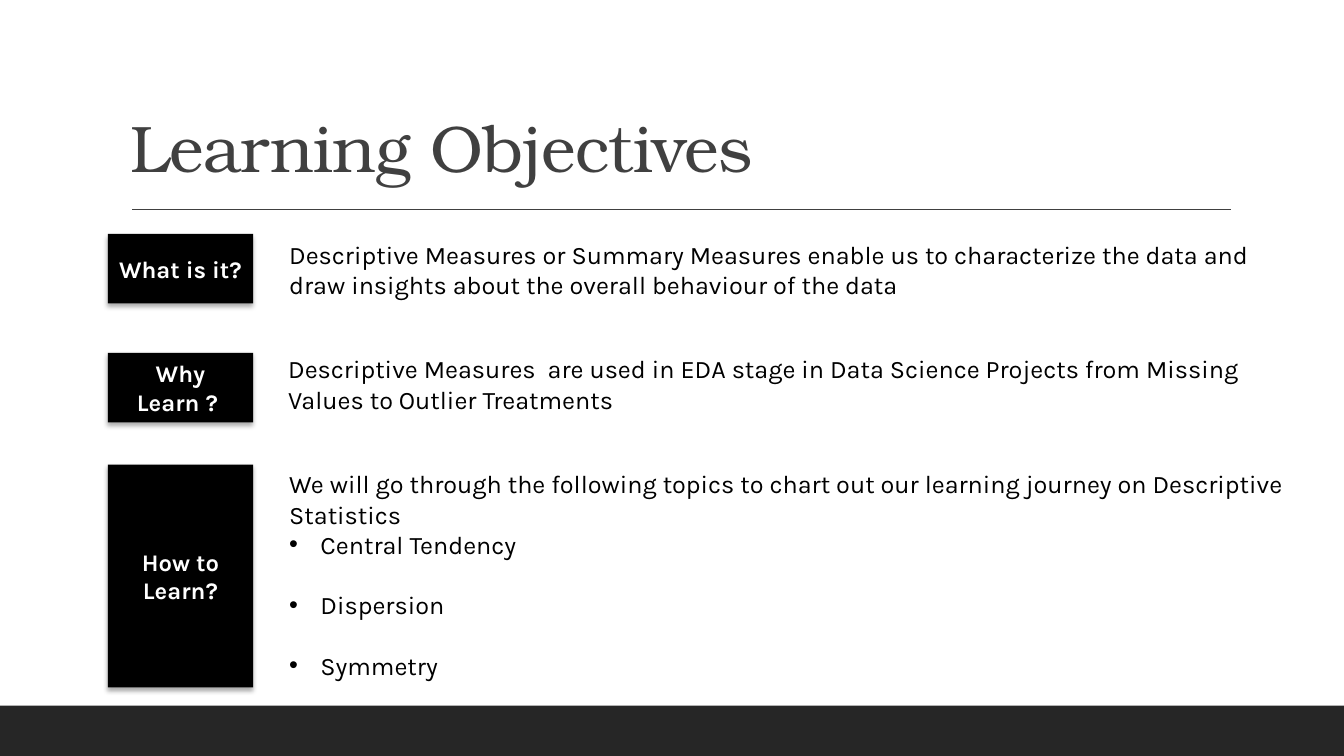
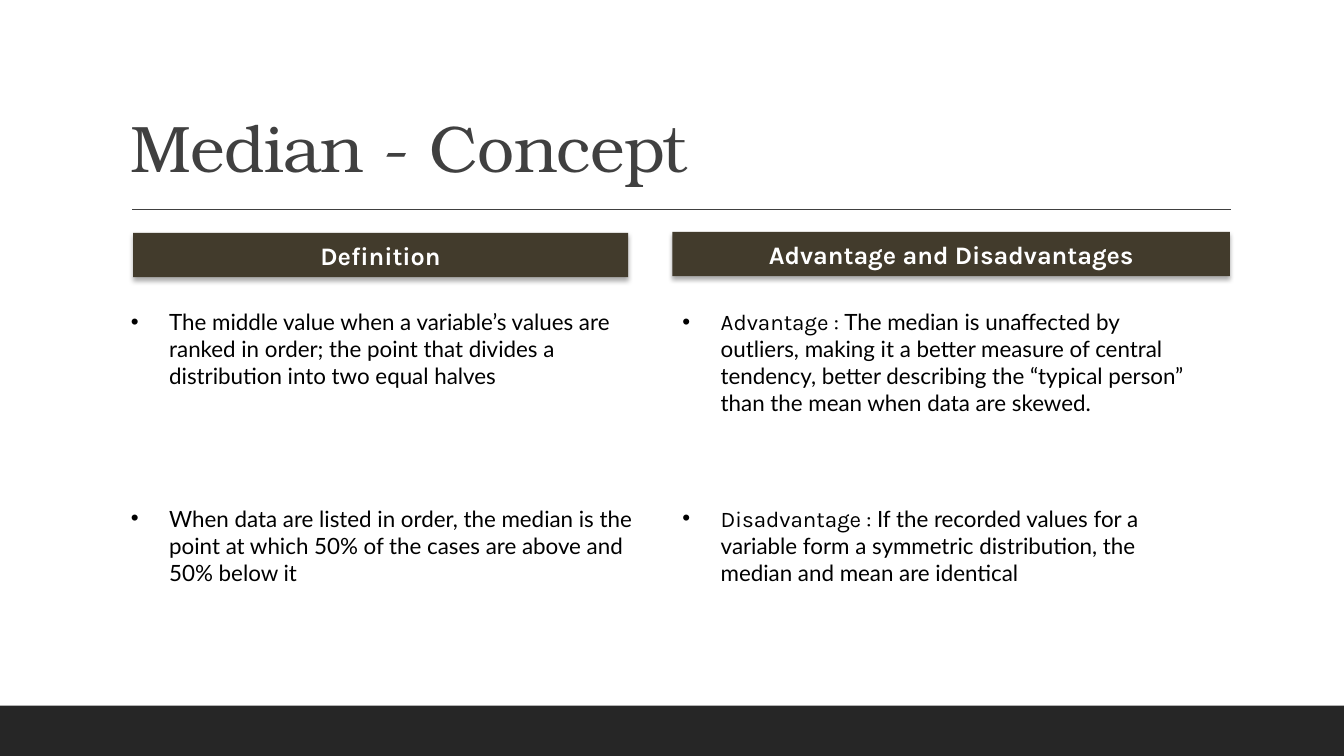
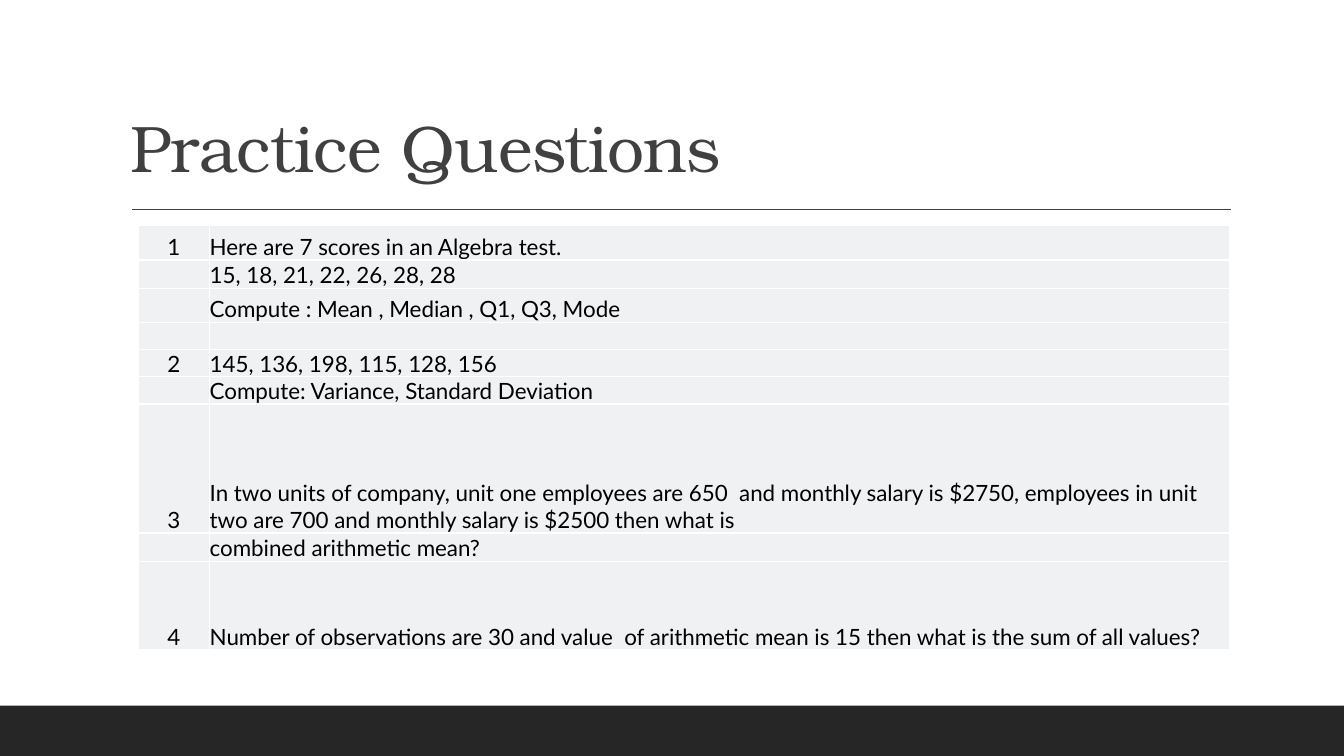
import pptx
import pptx.util
import pptx.dml.color
import pptx.enum.shapes
import pptx.enum.text
import pptx.oxml.ns
from lxml import etree

Inches = pptx.util.Inches
Pt = pptx.util.Pt
RGB = pptx.dml.color.RGBColor
ALIGN = pptx.enum.text.PP_ALIGN
ANCHOR = pptx.enum.text.MSO_ANCHOR
qn = pptx.oxml.ns.qn

# Shared style
BLACK = RGB(0x00, 0x00, 0x00)
WHITE = RGB(0xFF, 0xFF, 0xFF)
BAND = RGB(0x26, 0x26, 0x26)
GREY = RGB(0x40, 0x40, 0x40)
BROWN = RGB(0x42, 0x3B, 0x2C)
PALE = RGB(0xEF, 0xF1, 0xF3)
SERIF, SANS, BODY = "TeX Gyre Bonum", "Karla", "Lato"


def add(node, tag, **attrs):
    """Append an XML child with the given attributes."""
    return etree.SubElement(node, qn(tag), {k: str(v) for k, v in attrs.items()})


def write(frame, text, size=18, font=SANS, color=BLACK, bold=False,
          align=ALIGN.LEFT, indent=0, before=0, leading=None, track=None):
    """Add a paragraph; text is a string or a list of (text, font) runs."""
    para = frame.paragraphs[0]
    if para.runs:
        para = frame.add_paragraph()
    para.alignment = align
    if before:
        para.space_before = Pt(before)
    if leading:
        para.line_spacing = leading
    if indent:
        props = para._p.get_or_add_pPr()
        props.set("marL", str(Inches(indent)))
        props.set("indent", str(-Inches(indent)))
        add(props, "a:buFont", typeface="Arial")
        add(props, "a:buChar", char="•")
    for part, face in [(text, font)] if isinstance(text, str) else text:
        run = para.add_run()
        run.text = part
        run.font.name, run.font.size = face, Pt(size)
        run.font.bold = bold
        run.font.color.rgb = color
        if track:
            run._r.get_or_add_rPr().set("spc", str(track))


class Deck:
    def __init__(self):
        self.file = pptx.Presentation()
        self.file.slide_width = Inches(13.33)
        self.file.slide_height = Inches(7.5)

    def start(self, title):
        """New slide with bottom band, rule and title."""
        self.slide = self.file.slides.add_slide(self.file.slide_layouts[6])
        self.rect(0, 7, 13.33, 0.5, BAND)
        rule = self.slide.shapes.add_connector(
            pptx.enum.shapes.MSO_CONNECTOR.STRAIGHT,
            Inches(1.31), Inches(2.08), Inches(12.21), Inches(2.08))
        rule.line.color.rgb = GREY
        rule.line.width = Pt(1)
        add(rule._element.spPr, "a:effectLst")
        frame = self.text(1.2, 0.31, 11, 1.59)
        frame.vertical_anchor = ANCHOR.BOTTOM
        write(frame, title, size=47, font=SERIF, color=GREY,
              leading=0.9, track=-50)

    def rect(self, left, top, width, height, color):
        box = self.slide.shapes.add_shape(
            pptx.enum.shapes.MSO_SHAPE.RECTANGLE,
            Inches(left), Inches(top), Inches(width), Inches(height))
        box.shadow.inherit = False
        box.fill.solid()
        box.fill.fore_color.rgb = color
        box.line.fill.background()
        return box

    def label(self, left, top, width, height, text, color, size):
        """Filled heading box with a soft shadow below."""
        box = self.rect(left, top, width, height, color)
        effects = box._element.spPr.find(qn("a:effectLst"))
        shade = add(effects, "a:outerShdw", blurRad=Pt(3.5), dist=Pt(2.2),
                    dir=5400000, algn="ctr", rotWithShape=0)
        add(add(shade, "a:srgbClr", val=BLACK), "a:alpha", val=32000)
        frame = box.text_frame
        frame.word_wrap = True
        frame.vertical_anchor = ANCHOR.MIDDLE
        write(frame, text, size=size, color=WHITE, bold=True,
              align=ALIGN.CENTER)

    def text(self, left, top, width, height):
        box = self.slide.shapes.add_textbox(
            Inches(left), Inches(top), Inches(width), Inches(height))
        box.text_frame.word_wrap = True
        return box.text_frame

    def table(self, left, top, widths, rows):
        """Rows are (height, cell, cell...); the first column is centred."""
        grid = self.slide.shapes.add_table(
            len(rows), len(widths), Inches(left), Inches(top),
            Inches(sum(widths)), Inches(sum(r[0] for r in rows))).table
        grid.first_row = grid.horz_banding = False
        for col, width in zip(grid.columns, widths):
            col.width = Inches(width)
        for line, (height, *texts) in zip(grid.rows, rows):
            line.height = Inches(height)
            for i, (cell, text) in enumerate(zip(line.cells, texts)):
                self.fill(cell, text, ALIGN.LEFT if i else ALIGN.CENTER)

    def fill(self, cell, text, align):
        cell.margin_left = cell.margin_right = 0
        cell.margin_top = cell.margin_bottom = 0
        cell.vertical_anchor = ANCHOR.BOTTOM
        props = cell._tc.get_or_add_tcPr()
        for side in ("a:lnL", "a:lnR", "a:lnT", "a:lnB"):
            edge = add(props, side, w=Pt(1))
            add(add(edge, "a:solidFill"), "a:srgbClr", val=WHITE)
        cell.fill.solid()
        cell.fill.fore_color.rgb = PALE
        if text:
            write(cell.text_frame, text, size=16, font=BODY, align=align)
        else:
            # Keeps an empty row as low as a line of text
            end = add(cell.text_frame.paragraphs[0]._p, "a:endParaRPr", sz=1600)
            add(end, "a:latin", typeface=BODY)


def goals(deck):
    deck.start("Learning Objectives")
    for top, height, text in [(2.32, 0.69, "What is it?"),
                              (3.5, 0.69, "Why Learn ? "),
                              (4.61, 2.21, "How to Learn?")]:
        deck.label(1.07, top, 1.44, height, text, BLACK, 17)
    for left, top, width, height, text in [
            (2.77, 2.32, 10.17, 0.71,
             "Descriptive Measures or Summary Measures enable us to characterize "
             "the data and draw insights about the overall behaviour of the data"),
            (2.76, 3.46, 10.33, 0.71,
             "Descriptive Measures  are used in EDA stage in Data Science "
             "Projects from Missing Values to Outlier Treatments"),
            (2.77, 4.6, 10.25, 1.92,
             "We will go through the following topics to chart out our learning "
             "journey on Descriptive Statistics")]:
        frame = deck.text(left, top, width, height)
        write(frame, text)
    # Topics follow in the last box
    for i, topic in enumerate(["Central Tendency", "Dispersion", "Symmetry"]):
        write(frame, topic, indent=0.31, before=21.6 if i else 0)


def median(deck):
    deck.start("Median - Concept")
    deck.label(1.32, 2.31, 4.91, 0.44, "Definition", BROWN, 18)
    deck.label(6.67, 2.3, 5.53, 0.44, "Advantage and Disadvantages", BROWN, 18)
    columns = [
        (1.2, ["The middle value when a variable’s values are ranked in order; "
               "the point that divides a distribution into two equal halves",
               "When data are listed in order, the median is the point at which "
               "50% of the cases are above and 50% below it"]),
        (6.67, [[("Advantage : ", SANS),
                 ("The median is unaffected by outliers, making it a better "
                  "measure of central tendency, better describing the “typical "
                  "person” than the mean when data are skewed.", BODY)],
                [("Disadvantage : ", SANS),
                 ("If the recorded values for a variable form a symmetric "
                  "distribution, the median and mean are identical", BODY)]])]
    for left, points in columns:
        for top, point in zip((3.01, 4.96), points):
            write(deck.text(left, top, 5.32, 0.91), point, size=16, font=BODY,
                  indent=0.38)


def practice(deck):
    deck.start("Practice Questions")
    deck.table(1.37, 2.24, (0.71, 10.12), [
        (0.34, "1", "Here are 7 scores in an Algebra test."),
        (0.28, "", "15, 18, 21, 22, 26, 28, 28"),
        (0.34, "", "Compute : Mean , Median , Q1, Q3, Mode"),
        (0.27, "", ""),
        (0.27, "2", "145, 136, 198, 115, 128, 156"),
        (0.27, "", "Compute: Variance, Standard Deviation"),
        (1.28, "3", "In two units of company, unit one employees are 650  and "
                    "monthly salary is $2750, employees in unit two are 700 and "
                    "monthly salary is $2500 then what is"),
        (0.28, "", "combined arithmetic mean?"),
        (0.88, "4", "Number of observations are 30 and value  of arithmetic "
                    "mean is 15 then what is the sum of all values?")])


def main():
    deck = Deck()
    for build in (goals, median, practice):
        build(deck)
    deck.file.save("out.pptx")


if __name__ == "__main__":
    main()
